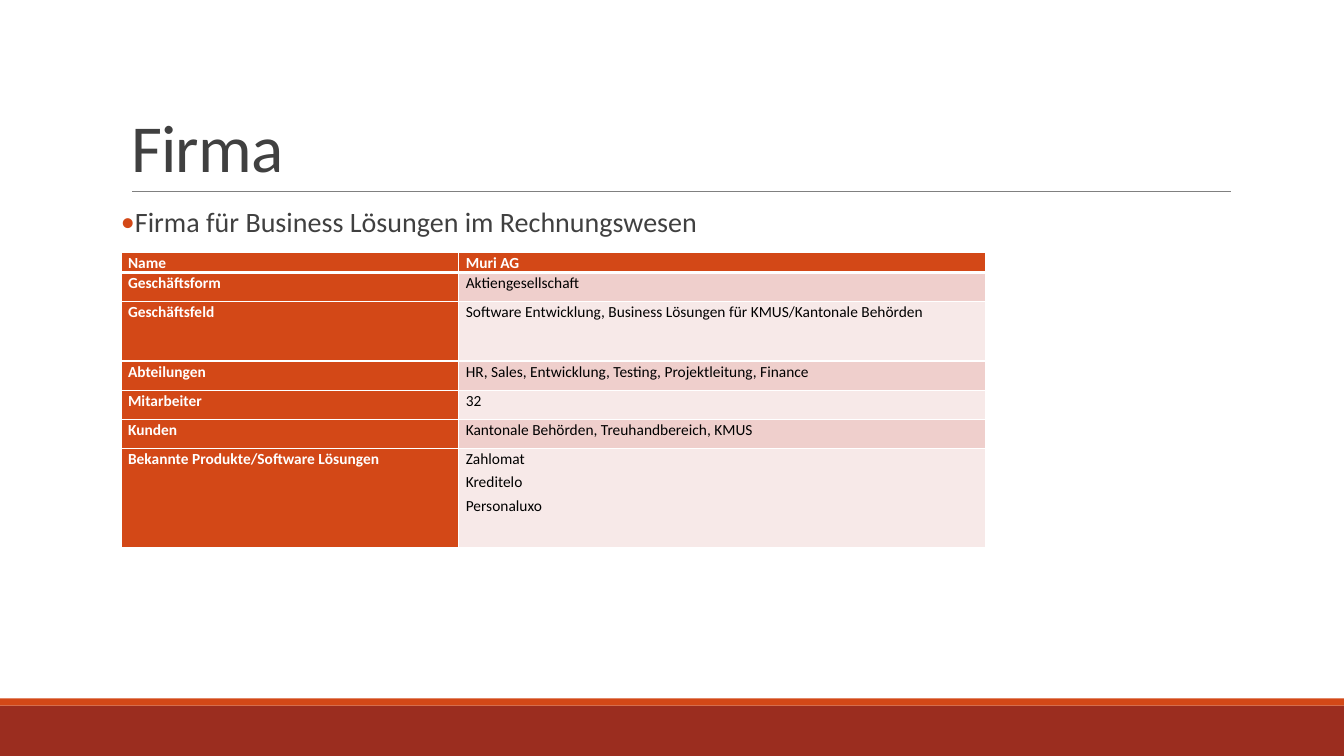
from lxml import etree
from pptx import Presentation
from pptx.dml.color import RGBColor
from pptx.enum.shapes import MSO_CONNECTOR, MSO_SHAPE
from pptx.enum.text import MSO_ANCHOR, MSO_AUTO_SIZE, PP_ALIGN
from pptx.oxml.ns import qn
from pptx.util import Inches, Pt

RECT, LINE = MSO_SHAPE.RECTANGLE, MSO_CONNECTOR.STRAIGHT
LEFT, TOP, BOTTOM = PP_ALIGN.LEFT, MSO_ANCHOR.TOP, MSO_ANCHOR.BOTTOM
NO_FIT = MSO_AUTO_SIZE.NONE

FONT = "Calibri"
COLORS = {
    "accent": "D34817", "footer": "9B2D1F", "rule": "808080", "text": "404040",
    "white": "FFFFFF", "black": "000000", "band_dark": "EFCFCC", "band_light": "F7E9E8",
}
TITLE = "Firma"
BULLET = "Firma für Business Lösungen im Rechnungswesen"
ROWS = [
    (0.2, "Name", ["Muri AG"]),
    (0.29, "Geschäftsform", ["Aktiengesellschaft"]),
    (0.59, "Geschäftsfeld", ["Software Entwicklung, Business Lösungen für KMUS/Kantonale Behörden"]),
    (0.29, "Abteilungen", ["HR, Sales, Entwicklung, Testing, Projektleitung, Finance"]),
    (0.29, "Mitarbeiter", ["32"]),
    (0.29, "Kunden", ["Kantonale Behörden, Treuhandbereich, KMUS"]),
    (0.98, "Bekannte Produkte/Software Lösungen", ["Zahlomat", "Kreditelo", "Personaluxo"]),
]
COL_WIDTHS = [3.35, 5.23]
BARS = [(7, 0.5, "footer"), (6.93, 0.07, "accent")]


def rgb(name):
    return RGBColor.from_string(COLORS[name])


def place(sp, left, top, width, height):
    sp.left, sp.top = Inches(left), Inches(top)
    sp.width, sp.height = Inches(width), Inches(height)


def add_text(p, text, size, color, bold=False):
    r = p.add_run()
    r.text = text
    r.font.name, r.font.size, r.font.bold = FONT, Pt(size), bold
    r.font.color.rgb = rgb(color)
    return r


def add_spacing(p, line, before, after):
    p.alignment = LEFT
    p.line_spacing, p.space_before, p.space_after = line, Pt(before), Pt(after)


def add_border(cell, side, width):
    ln = etree.SubElement(cell._tc.get_or_add_tcPr(), qn(f"a:ln{side}"), w=str(Pt(width)))
    fill = etree.SubElement(ln, qn("a:solidFill"))
    etree.SubElement(fill, qn("a:srgbClr"), val=COLORS["white"])


def fill_cell(cell, lines, fill, color, bold, header):
    for side in "LRTB":
        heavy = (header and side == "B") or (after_header and side == "T")
        add_border(cell, side, 3 if heavy else 1)
    cell.fill.solid()
    cell.fill.fore_color.rgb = rgb(fill)
    cell.margin_left = cell.margin_right = Inches(0.07)
    cell.margin_top = cell.margin_bottom = 0
    cell.vertical_anchor = TOP
    tf = cell.text_frame
    for i, line in enumerate(lines):
        p = tf.add_paragraph() if i else tf.paragraphs[0]
        add_spacing(p, 1.07, 0, 2)
        add_text(p, line, 11, color, bold)


prs = Presentation()
prs.slide_width, prs.slide_height = Inches(13.33), Inches(7.5)
s = prs.slides.add_slide(prs.slide_layouts[1])

for top, height, color in BARS:
    sp = s.shapes.add_shape(RECT, 0, Inches(top), prs.slide_width, Inches(height))
    sp.shadow.inherit = False
    sp.fill.solid()
    sp.fill.fore_color.rgb = rgb(color)
    sp.line.fill.background()

rule = s.shapes.add_connector(LINE, Inches(1.31), Inches(1.9), Inches(12.21), Inches(1.9))
rule.line.color.rgb = rgb("rule")
rule.line.width = Pt(0.5)
etree.SubElement(rule._element.spPr, qn("a:effectLst"))

title = s.shapes.title
place(title, 1.2, 0.31, 11, 1.59)
tf = title.text_frame
tf.vertical_anchor, tf.auto_size = BOTTOM, NO_FIT
p = tf.paragraphs[0]
add_spacing(p, 0.85, 0, 0)
r = add_text(p, TITLE, 48, "text")
r.font._element.set("spc", "-50")

body = s.placeholders[1]
place(body, 1.2, 2.02, 11, 4.4)
tf = body.text_frame
tf.auto_size = NO_FIT
tf.margin_left = tf.margin_right = 0
p = tf.paragraphs[0]
add_spacing(p, 0.9, 12, 2)
add_text(p, BULLET, 20, "text")
pPr = p._p.get_or_add_pPr()
pPr.set("marL", str(Inches(0.1)))
pPr.set("indent", str(-Inches(0.1)))
bullet_color = etree.SubElement(pPr, qn("a:buClr"))
etree.SubElement(bullet_color, qn("a:srgbClr"), val=COLORS["accent"])
etree.SubElement(pPr, qn("a:buFont"), typeface=FONT)
etree.SubElement(pPr, qn("a:buChar"), char="•")

table = s.shapes.add_table(
    len(ROWS), len(COL_WIDTHS), Inches(1.2), Inches(2.5),
    Inches(sum(COL_WIDTHS)), Inches(sum(row[0] for row in ROWS)),
).table
for col, width in zip(table.columns, COL_WIDTHS):
    col.width = Inches(width)
for i, (height, label, values) in enumerate(ROWS):
    table.rows[i].height = Inches(height)
    header, after_header = i == 0, i == 1
    band = "accent" if header else "band_dark" if i % 2 else "band_light"
    fill_cell(table.cell(i, 0), [label], "accent", "white", True, header)
    fill_cell(table.cell(i, 1), values, band, "white" if header else "black", header, header)

prs.save("out.pptx")
